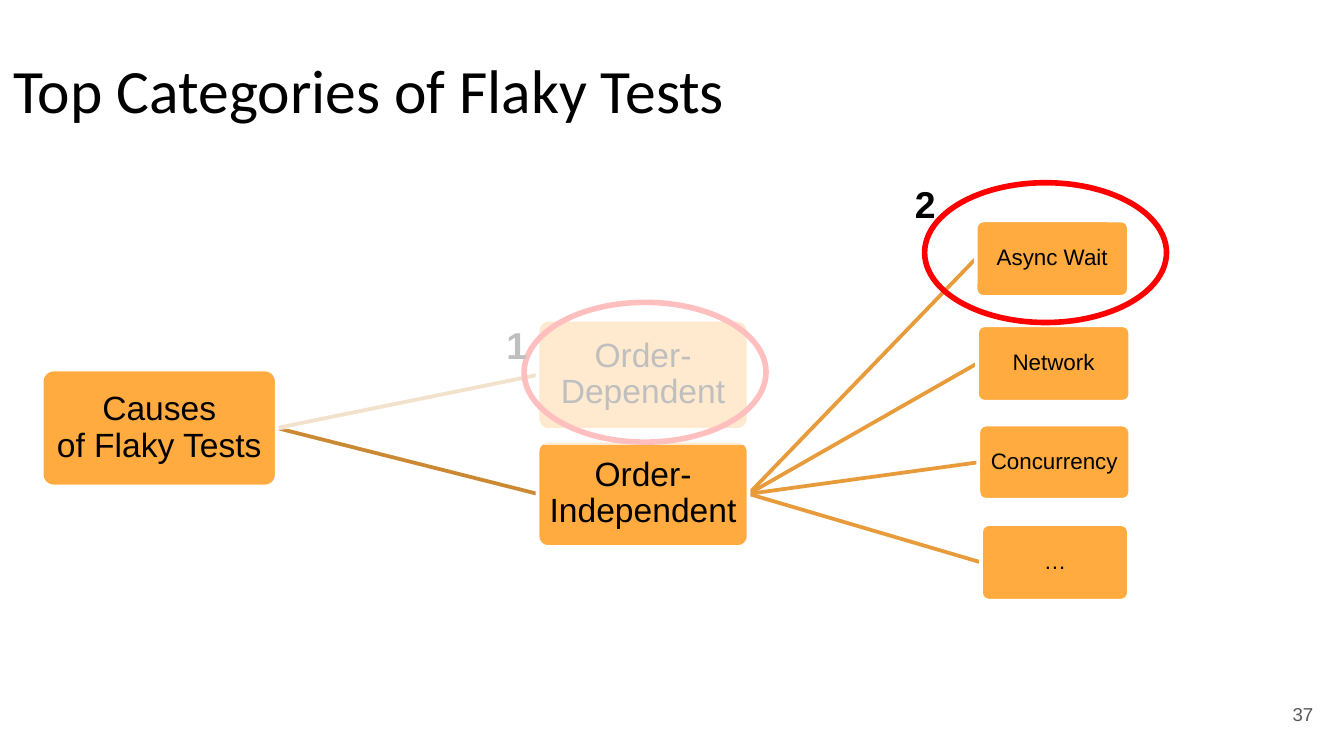
from typing import NamedTuple

from lxml.etree import SubElement
from pptx import Presentation
from pptx.dml.color import RGBColor
from pptx.enum.shapes import MSO_CONNECTOR, MSO_SHAPE
from pptx.enum.text import MSO_ANCHOR, MSO_AUTO_SIZE, PP_ALIGN
from pptx.oxml.ns import qn
from pptx.util import Inches, Pt

COLORS = {
    "box": "FFAB40",
    "trunk": "CC8933",
    "branch": "E79B3A",
    "ring": "FF0000",
    "text": "000000",
    "number": "595959",
    "white": "FFFFFF",
}


class Box(NamedTuple):
    text: str
    x: float
    y: float
    w: float
    h: float
    size: int


class Ring(NamedTuple):
    x: float
    y: float
    label: str
    label_x: float
    label_y: float


class Veil(NamedTuple):
    x: float
    y: float
    w: float
    h: float
    rotation: float


ROOT = Box("Causes\vof Flaky Tests", 0.31, 2.75, 1.75, 0.87, 18)
DEPENDENT = Box("Order-Dependent", 4, 2.38, 1.57, 0.82, 18)
INDEPENDENT = Box("Order-Independent", 4, 3.28, 1.57, 0.79, 18)
CAUSES = [
    Box("Async Wait", 7.26, 1.64, 1.14, 0.57, 12),
    Box("Network", 7.27, 2.42, 1.14, 0.57, 12),
    Box("Concurrency", 7.28, 3.16, 1.13, 0.56, 12),
    Box("…", 7.3, 3.9, 1.1, 0.57, 12),
]
RINGS = [Ring(3.9, 2.25, "1", 3.67, 2.35), Ring(6.88, 1.36, "2", 6.71, 1.3)]
VEILS = [Veil(3.77, 2.2, 1.99, 1.11, 0), Veil(2.04, 2.98, 1.75, 0.06, -10.9)]


def rgb(name: str) -> RGBColor:
    return RGBColor.from_string(COLORS[name])


def write(sp, text: str, *, size: int, font: str = "Arial", color: str = "text",
          bold: bool = False, align=PP_ALIGN.LEFT, anchor=MSO_ANCHOR.TOP,
          inset: float | None = None, spacing: float | None = None,
          wrap: bool = True) -> None:
    tf = sp.text_frame
    tf.auto_size = MSO_AUTO_SIZE.NONE
    tf.word_wrap = wrap
    tf.vertical_anchor = anchor
    if inset is not None:
        tf.margin_left = tf.margin_right = Inches(inset)
        tf.margin_top = tf.margin_bottom = Inches(inset)
    p = tf.paragraphs[0]
    p.text = text
    p.alignment = align
    p.line_spacing = spacing
    for r in p.runs:
        r.font.name = font
        r.font.size = Pt(size)
        r.font.bold = bold
        r.font.color.rgb = rgb(color)


def add_shape(s, kind, x: float, y: float, w: float, h: float):
    sp = s.shapes.add_shape(kind, Inches(x), Inches(y), Inches(w), Inches(h))
    sp.shadow.inherit = False
    return sp


def add_label(s, text: str, x: float, y: float, w: float, h: float, **fmt) -> None:
    sp = s.shapes.add_textbox(Inches(x), Inches(y), Inches(w), Inches(h))
    write(sp, text, **fmt)


def add_box(s, box: Box):
    sp = add_shape(s, MSO_SHAPE.ROUNDED_RECTANGLE, box.x, box.y, box.w, box.h)
    sp.adjustments[0] = 0.1
    sp.fill.solid()
    sp.fill.fore_color.rgb = rgb("box")
    sp.line.color.rgb = rgb("white")
    sp.line.width = Pt(2)
    write(sp, box.text, size=box.size, align=PP_ALIGN.CENTER,
          anchor=MSO_ANCHOR.MIDDLE, inset=0.02, spacing=0.9)
    return sp


def join(s, parent, child, color: str) -> None:
    line = s.shapes.add_connector(MSO_CONNECTOR.STRAIGHT, 0, 0, 0, 0)
    line.begin_connect(parent, 3)
    line.end_connect(child, 1)
    line.line.color.rgb = rgb(color)
    line.line.width = Pt(2)
    SubElement(line.element.spPr, qn("a:effectLst"))
    line.element.getparent().insert(2, line.element)


def add_ring(s, ring: Ring) -> None:
    sp = add_shape(s, MSO_SHAPE.OVAL, ring.x, ring.y, 1.8, 1.04)
    sp.fill.background()
    sp.line.color.rgb = rgb("ring")
    sp.line.width = Pt(3)
    add_label(s, ring.label, ring.label_x, ring.label_y, 0.36, 0.44,
              size=20, bold=True, wrap=False)


def add_veil(s, veil: Veil) -> None:
    sp = add_shape(s, MSO_SHAPE.RECTANGLE, veil.x, veil.y, veil.w, veil.h)
    sp.rotation = veil.rotation
    sp.fill.solid()
    sp.fill.fore_color.rgb = rgb("white")
    sp.line.fill.background()
    color = sp.element.spPr.find(qn("a:solidFill")).find(qn("a:srgbClr"))
    SubElement(color, qn("a:alpha"), val="75000")


def main() -> None:
    prs = Presentation()
    prs.slide_width = Inches(10)
    prs.slide_height = prs.slide_width * 9 // 16
    s = prs.slides.add_slide(prs.slide_layouts[5])

    title = s.shapes.title
    title.left, title.top = Inches(0), Inches(0)
    title.width, title.height = Inches(10), Inches(1.39)
    write(title, "Top Categories of Flaky Tests", size=33, font="Calibri",
          anchor=MSO_ANCHOR.MIDDLE, spacing=0.9)

    root, dependent, independent = (
        add_box(s, box) for box in (ROOT, DEPENDENT, INDEPENDENT))
    for child in (dependent, independent):
        join(s, root, child, "trunk")
    for cause in CAUSES:
        join(s, independent, add_box(s, cause), "branch")

    add_label(s, "37", 9.27, 5.1, 0.6, 0.43, size=10, color="number",
              align=PP_ALIGN.RIGHT, anchor=MSO_ANCHOR.MIDDLE, inset=0.1)
    for ring in RINGS:
        add_ring(s, ring)
    for veil in VEILS:
        add_veil(s, veil)
    prs.save("out.pptx")


if __name__ == "__main__":
    main()
